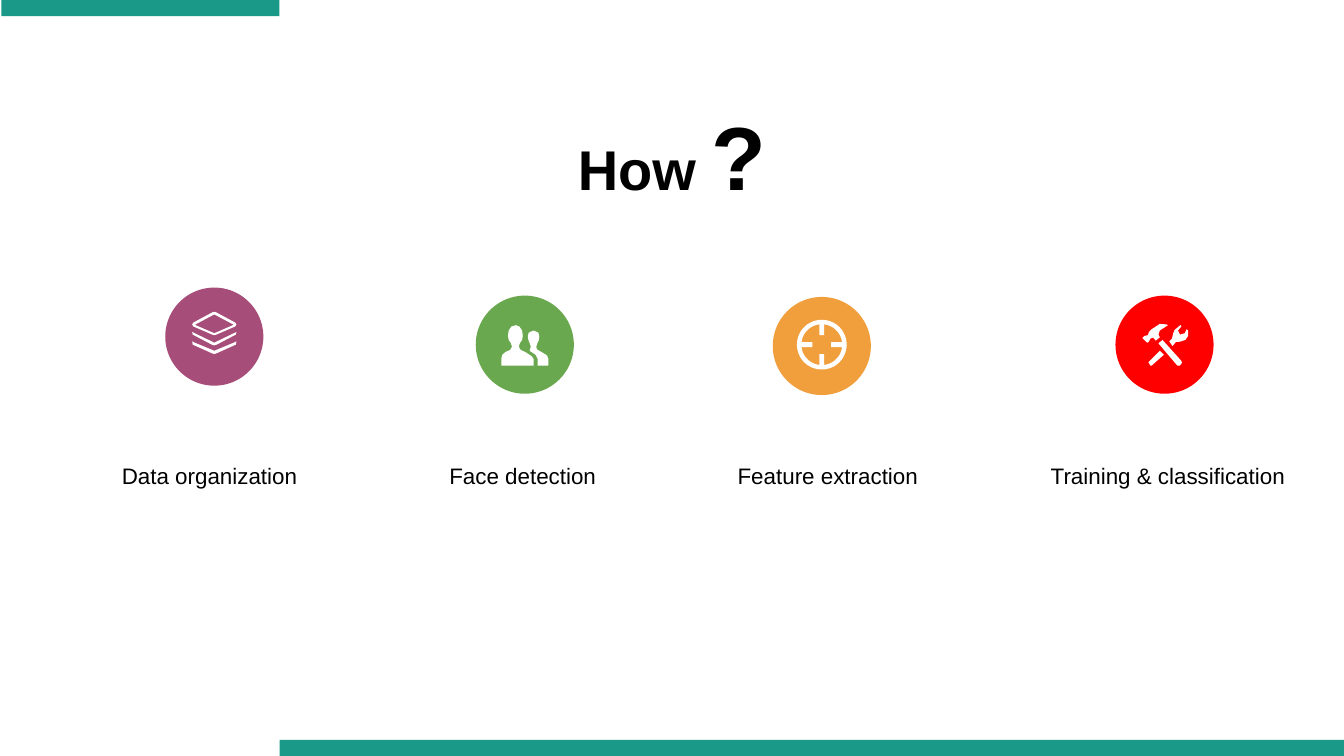
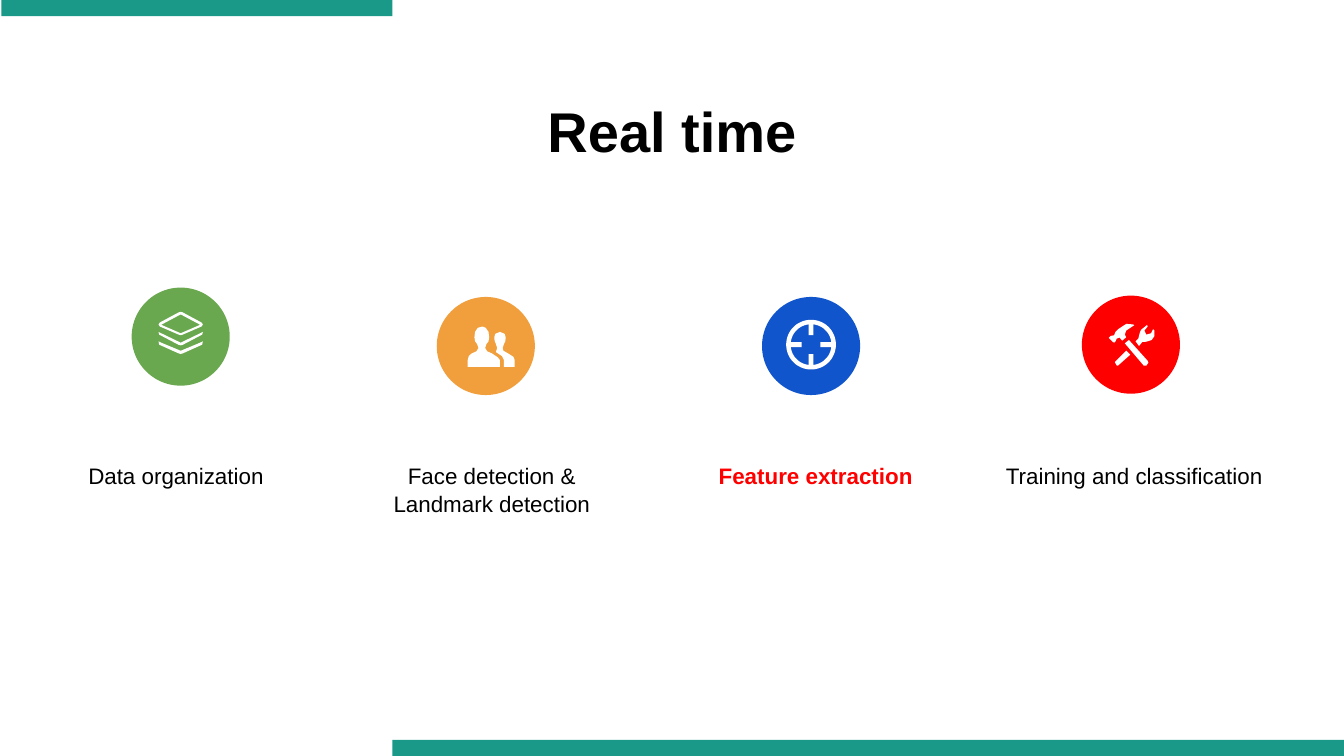
import math

from lxml import etree
from pptx import Presentation
from pptx.dml.color import RGBColor
from pptx.enum import shapes, text
from pptx.oxml import ns
from pptx.util import Inches, Pt

FONT = "Arial"
TEAL, BLACK, WHITE, RED = "1A9988", "000000", "FFFFFF", "FF0000"
PURPLE, GREEN, ORANGE, BLUE = "A64D79", "6AA84F", "EF9527", "1155CC"
SLIDE_WIDTH, SLIDE_HEIGHT = 10, 5.625
BAND_HEIGHT = 0.12
CIRCLE_SIZE = 0.73
LABEL_TOP, LABEL_WIDTH, LABEL_HEIGHT = 3.33, 2.24, 0.32


def mirror(half, width):
    """Close a left half, listed along its edge, with its reflection."""
    return half + [(width - x, y) for x, y in reversed(half)]


def arc(center, radius, start, end, steps):
    """Points on a circle, angles in degrees."""
    angles = [math.radians(start + (end - start) * i / steps) for i in range(steps + 1)]
    return [(center + radius * math.cos(a), center + radius * math.sin(a)) for a in angles]


def target_icon():
    center, outer, inner, bar_end, half_bar = 18.5, 18.5, 15.2, 7, 1.8
    gap = math.degrees(math.asin(half_bar / inner))
    bar = math.degrees(math.atan2(half_bar, bar_end))
    bar_radius = math.hypot(bar_end, half_bar)
    hole = []
    for start in range(0, 360, 90):
        hole += arc(center, inner, start + gap, start + 90 - gap, 12)
        hole += arc(center, bar_radius, start + 90 - bar, start + 90 + bar, 1)
    return [arc(center, outer, 0, 360, 60), hole]


# Icon outlines in hundredths of an inch
ICONS = {
    "layers": [
        mirror([(16.5, 0), (15, 0.5), (1, 8), (0, 9.5), (1, 11), (15, 17), (16.5, 17.5)], 33),
        mirror([(16.5, 2), (2, 9.7), (16.5, 16)], 33),
        mirror([(16.5, 23), (2, 16), (0, 15), (0.5, 17), (15, 24.6), (16.5, 25)], 33),
        mirror([(16.5, 29), (2, 23), (0, 22), (0.5, 24.5), (15, 31), (16.5, 31.4)], 33),
    ],
    "people": [
        [(11, 0), (7.5, 1), (5.5, 4), (5, 8), (5.5, 11), (7, 13), (8, 16), (6.5, 18.5),
         (3, 20), (0.8, 22), (0, 25), (0, 30), (24, 30), (24, 25), (22.5, 23), (18, 20),
         (14.5, 18.5), (13, 16), (14, 13), (15.5, 11), (16, 8), (15.5, 4), (13.5, 1)],
        [(35, 30), (35, 25), (34, 22.5), (30, 20), (26.5, 18), (26, 16), (27, 13), (28, 11),
         (28.3, 8), (27.5, 5.5), (24, 4), (20.5, 5.5), (19.8, 8), (20, 10.5), (21, 13),
         (22, 16), (21, 19), (25.5, 22), (27, 25), (27, 30)],
    ],
    "target": target_icon(),
    "tools": [
        [(0, 10.5), (3, 13.5), (4, 14), (5, 13), (6, 11), (8, 10.2), (10, 12.5), (13, 10),
         (12, 8), (13, 5), (19, 1), (18, 0.4), (13, 0), (7, 4), (5, 6), (4, 8.5), (1.5, 9)],
        [(15, 12), (12, 14.5), (26, 31), (28, 31), (29.5, 29), (29, 27.5)],
        [(34, 5), (33, 4), (31.5, 7), (28, 8), (26.5, 5), (29, 2), (28.5, 0.8), (24, 4.5),
         (23, 7), (22, 11), (20, 13), (22.5, 16.5), (25, 13.5), (28, 13.3), (32, 12), (34, 9)],
        [(4.5, 28.5), (6, 31), (7, 31), (16, 23), (13, 20)],
    ],
}


def rgb(color):
    return RGBColor.from_string(color)


def paint(shape, color, opacity=100):
    shape.shadow.inherit = False
    shape.line.fill.background()
    shape.fill.solid()
    shape.fill.fore_color.rgb = rgb(color)
    if opacity < 100:
        value = shape.fill._xPr.find(".//" + ns.qn("a:srgbClr"))
        etree.SubElement(value, ns.qn("a:alpha"), val=str(opacity * 1000))


def add_filled(page, kind, left, top, width, height, color, opacity=100):
    shape = page.shapes.add_shape(kind, Inches(left), Inches(top), Inches(width), Inches(height))
    paint(shape, color, opacity)


def add_icon(page, name, left, top):
    points = [[(x * 10, y * 10) for x, y in outline] for outline in ICONS[name]]
    builder = page.shapes.build_freeform(*points[0][0], scale=Inches(1) / 1000)
    builder.add_line_segments(points[0][1:])
    for outline in points[1:]:
        builder.move_to(*outline[0])
        builder.add_line_segments(outline[1:])
    paint(builder.convert_to_shape(Inches(left), Inches(top)), WHITE)


def set_frame(box, spacing):
    frame = box.text_frame
    frame.word_wrap = True
    frame.auto_size = text.MSO_AUTO_SIZE.NONE
    frame.vertical_anchor = text.MSO_ANCHOR.TOP
    frame.margin_left = frame.margin_right = Inches(0.1)
    frame.margin_top = frame.margin_bottom = Inches(0.1)
    frame.paragraphs[0].line_spacing = spacing
    return frame


def add_span(para, words, size, color=BLACK, bold=False):
    para.alignment = text.PP_ALIGN.CENTER
    span = para.add_run()
    span.text = words
    span.font.name = FONT
    span.font.size = Pt(size)
    span.font.bold = bold
    span.font.color.rgb = rgb(color)


def add_label(page, left, lines, color=BLACK, bold=False):
    box = page.shapes.add_textbox(
        Inches(left), Inches(LABEL_TOP), Inches(LABEL_WIDTH), Inches(LABEL_HEIGHT))
    frame = set_frame(box, 1.05)
    for index, line in enumerate(lines):
        para = frame.paragraphs[0] if index == 0 else frame.add_paragraph()
        para.line_spacing = 1.05
        add_span(para, line, 12, color, bold)


def add_page(deck, title_spans, band_split):
    """Start a slide with its title and the two bands that meet at band_split."""
    page = deck.slides.add_slide(deck.slide_layouts.get_by_name("Title Only"))
    title = page.shapes.title
    title.left, title.top = Inches(1.54), Inches(0.57)
    title.width, title.height = Inches(6.92), Inches(1.11)
    para = set_frame(title, 1.1).paragraphs[0]
    for words, size in title_spans:
        add_span(para, words, size, bold=True)
    rectangle = shapes.MSO_SHAPE.RECTANGLE
    add_filled(page, rectangle, 0.01, 0, band_split - 0.01, BAND_HEIGHT, TEAL)
    add_filled(page, rectangle, band_split, SLIDE_HEIGHT - BAND_HEIGHT,
               SLIDE_WIDTH - band_split, BAND_HEIGHT, TEAL)
    return page


def add_step(page, icon, circle, color, icon_offset, label_left, lines,
             opacity=100, label_color=BLACK, bold=False):
    left, top = circle
    add_filled(page, shapes.MSO_SHAPE.OVAL, left, top, CIRCLE_SIZE, CIRCLE_SIZE, color, opacity)
    add_icon(page, icon, left + icon_offset[0], top + icon_offset[1])
    add_label(page, label_left, lines, label_color, bold)


def main():
    deck = Presentation()
    deck.slide_width, deck.slide_height = Inches(SLIDE_WIDTH), Inches(SLIDE_HEIGHT)

    how = add_page(deck, [("How ", 30), ("?", 48)], 2.08)
    add_step(how, "layers", (1.23, 2.14), PURPLE, (0.2, 0.18), 0.44, ["Data organization"])
    add_step(how, "people", (3.54, 2.2), GREEN, (0.19, 0.22), 2.77, ["Face detection"])
    add_step(how, "target", (5.75, 2.21), ORANGE, (0.18, 0.17), 5.04, ["Feature extraction"],
             opacity=90)
    add_step(how, "tools", (8.3, 2.2), RED, (0.2, 0.21), 7.57, ["Training & classification"])

    real_time = add_page(deck, [("Real time", 30)], 2.92)
    add_step(real_time, "layers", (0.98, 2.14), GREEN, (0.2, 0.18), 0.19, ["Data organization"])
    add_step(real_time, "people", (3.25, 2.21), ORANGE, (0.23, 0.22), 2.54,
             ["Face detection &", "Landmark detection"], opacity=90)
    add_step(real_time, "target", (5.67, 2.21), BLUE, (0.18, 0.17), 4.95, ["Feature extraction"],
             label_color=RED, bold=True)
    add_step(real_time, "tools", (8.05, 2.2), RED, (0.2, 0.21), 7.32,
             ["Training and classification"])

    deck.save("out.pptx")


if __name__ == "__main__":
    main()
